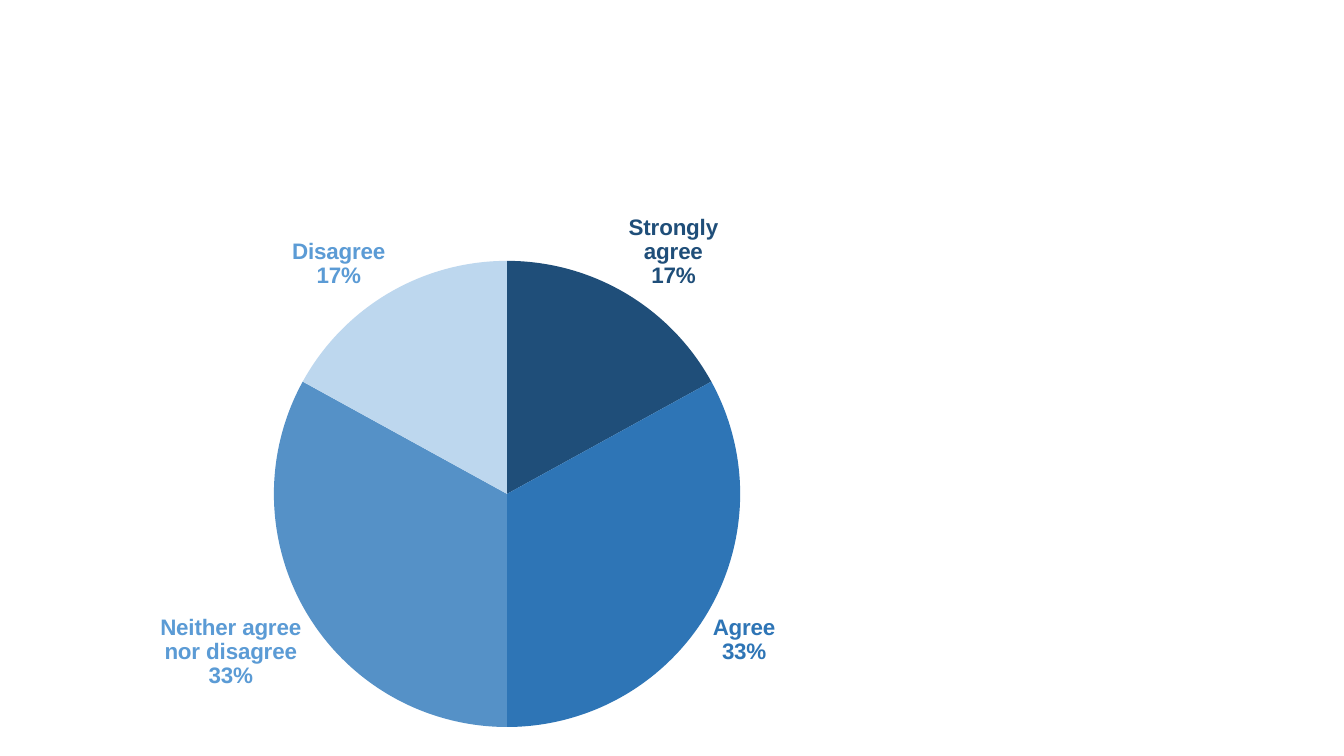
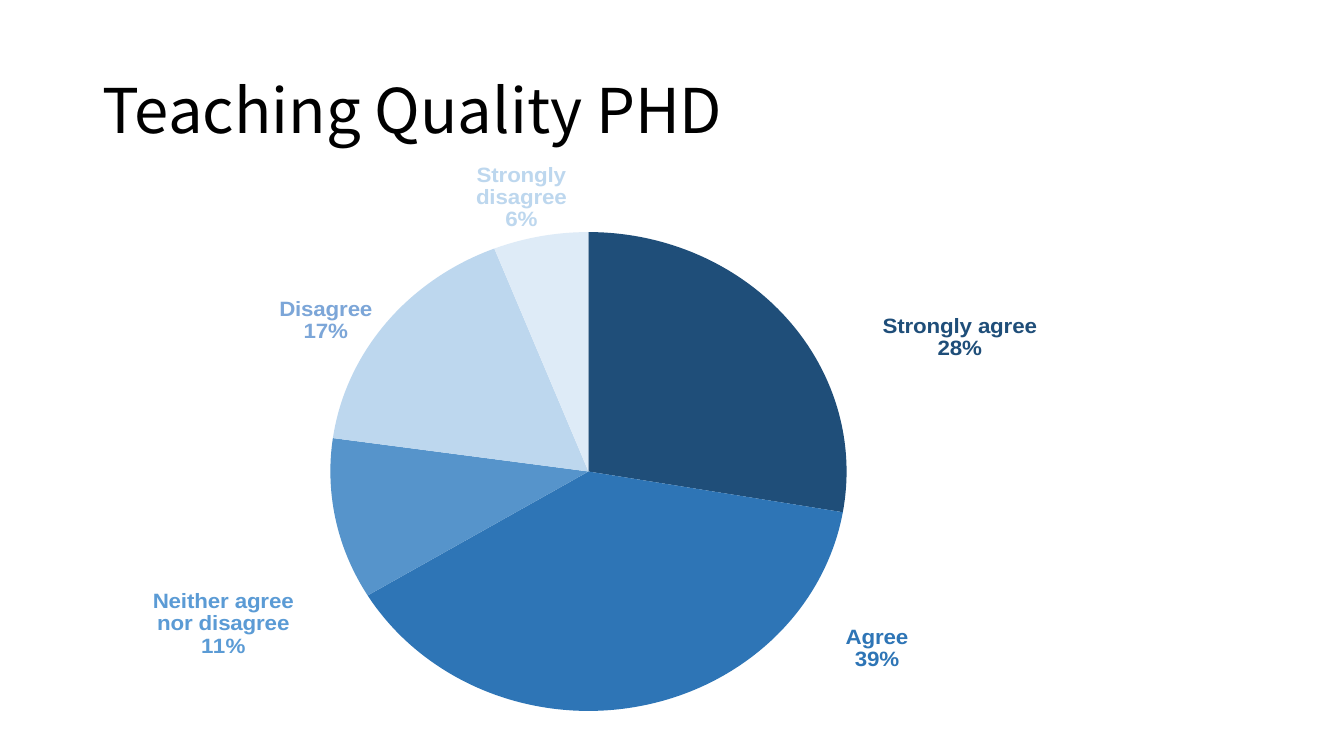
from pptx import Presentation
from pptx.util import Inches, Pt
from pptx.dml.color import RGBColor
from pptx.chart.data import CategoryChartData as Data
from pptx.enum.chart import XL_CHART_TYPE as Kind, XL_LABEL_POSITION as Spot
from pptx.enum.text import MSO_ANCHOR as Anchor
from pptx.oxml import parse_xml
from pptx.oxml.ns import nsdecls, qn

FACE = "Noto Sans CJK SC"
NAMES = ["Strongly agree", "Agree", "Neither agree nor disagree",
         "Disagree", "Strongly disagree"]
NAVY, BLUE, SKY, PALE, ICE = "1F4E79", "2E75B6", "5B9BD5", "BDD7EE", "DEEBF7"


def style(font, size, face, tint, bold=False):
    font.size, font.name, font.bold = Pt(size), face, bold
    font.color.rgb = RGBColor.from_string(tint)


def layout(**parts):
    tags = "".join(f'<c:{tag} val="{val}"/>' for tag, val in parts.items())
    return parse_xml(f'<c:layout {nsdecls("c")}><c:manualLayout>{tags}</c:manualLayout></c:layout>')


pies = [
    dict(title=None, box=(0.92, 1.85, 7.44, 5.65), plot=None,
         vals=[17, 33, 33, 17],
         fills=[NAVY, BLUE, "5591C7", PALE],
         inks=[NAVY, BLUE, SKY, SKY],
         moves=[None] * 4),
    dict(title="Teaching Quality PHD", box=(1.3, 1.33, 9, 6.18),
         plot=dict(layoutTarget="inner", xMode="edge", yMode="edge",
                   x=0.22, y=0.17, w=0.57, h=0.83),
         vals=[28, 39, 11, 17, 6],
         fills=[NAVY, BLUE, "5694CB", PALE, ICE],
         inks=[NAVY, BLUE, SKY, "7CA6D8", PALE],
         moves=[(0.11, 0.08), (0.23, -0.15), (-0.04, 0.12), (-0.01, 0.04), (0.03, 0)]),
]

deck = Presentation()
deck.slide_width, deck.slide_height = Inches(13.33), Inches(7.5)

for pie in pies:
    slide = deck.slides.add_slide(deck.slide_layouts[6])
    if pie["title"]:
        box = slide.shapes.add_textbox(*map(Inches, (0.92, 0.4, 11.5, 1.45)))
        frame = box.text_frame
        frame.word_wrap, frame.vertical_anchor = True, Anchor.MIDDLE
        line = frame.paragraphs[0]
        line.text, line.line_spacing = pie["title"], 0.9
        style(line.font, 44, FACE, "000000")

    data = Data()
    data.categories = NAMES[:len(pie["vals"])]
    data.add_series("Series 1", pie["vals"])
    chart = slide.shapes.add_chart(Kind.PIE, *map(Inches, pie["box"]), data).chart
    chart.has_title = chart.has_legend = False
    style(chart.font, 10, FACE, "000000")

    plot = chart.plots[0]
    plot.vary_by_categories = True
    if pie["plot"]:
        area = chart._chartSpace.find(".//" + qn("c:plotArea"))
        for old in area.findall(qn("c:layout")):
            area.remove(old)
        area.insert(0, layout(**pie["plot"]))

    ser = plot.series[0]
    marks = ser.data_labels
    marks.show_percentage = marks.show_category_name = True
    marks.show_value = False
    marks.position = Spot.OUTSIDE_END
    style(marks.font, 16, "Arial", SKY, True)
    for lead in ser._element.iter(qn("c:showLeaderLines")):
        lead.set("val", "0")

    for i, (tint, ink, move) in enumerate(zip(pie["fills"], pie["inks"], pie["moves"])):
        point = ser.points[i]
        point.format.fill.solid()
        point.format.fill.fore_color.rgb = RGBColor.from_string(tint)
        style(point.data_label.font, 16, "Arial", ink, True)
        point.data_label.position = Spot.OUTSIDE_END
        label = ser._element.findall(".//" + qn("c:dLbl"))[i]
        for tag, val in (("showVal", "0"), ("showCatName", "1"), ("showPercent", "1")):
            label.find(qn("c:" + tag)).set("val", val)
        label.append(parse_xml(f'<c:separator {nsdecls("c")}>\n</c:separator>'))
        if move:
            label.insert(1, layout(x=move[0], y=move[1]))

deck.save("out.pptx")
